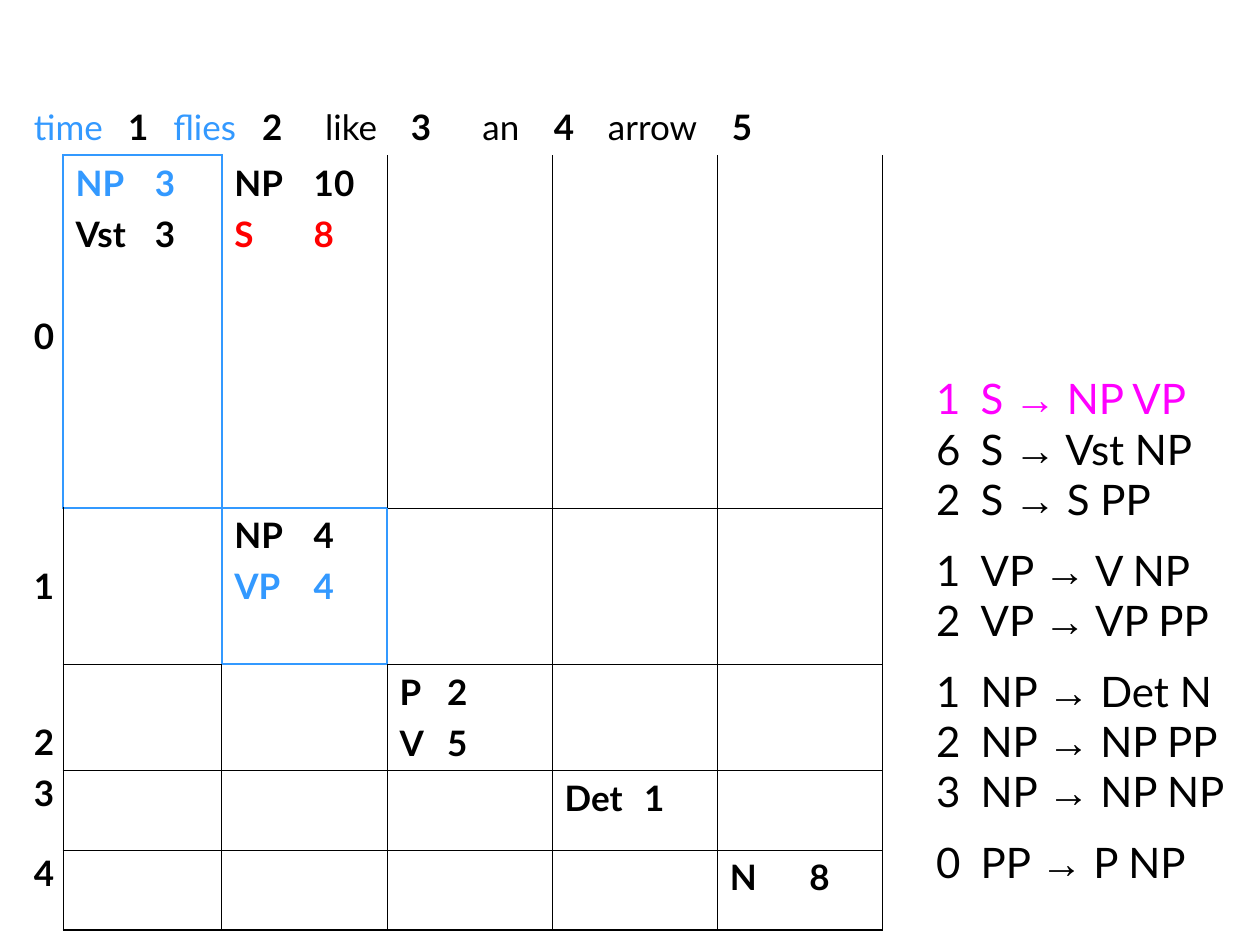
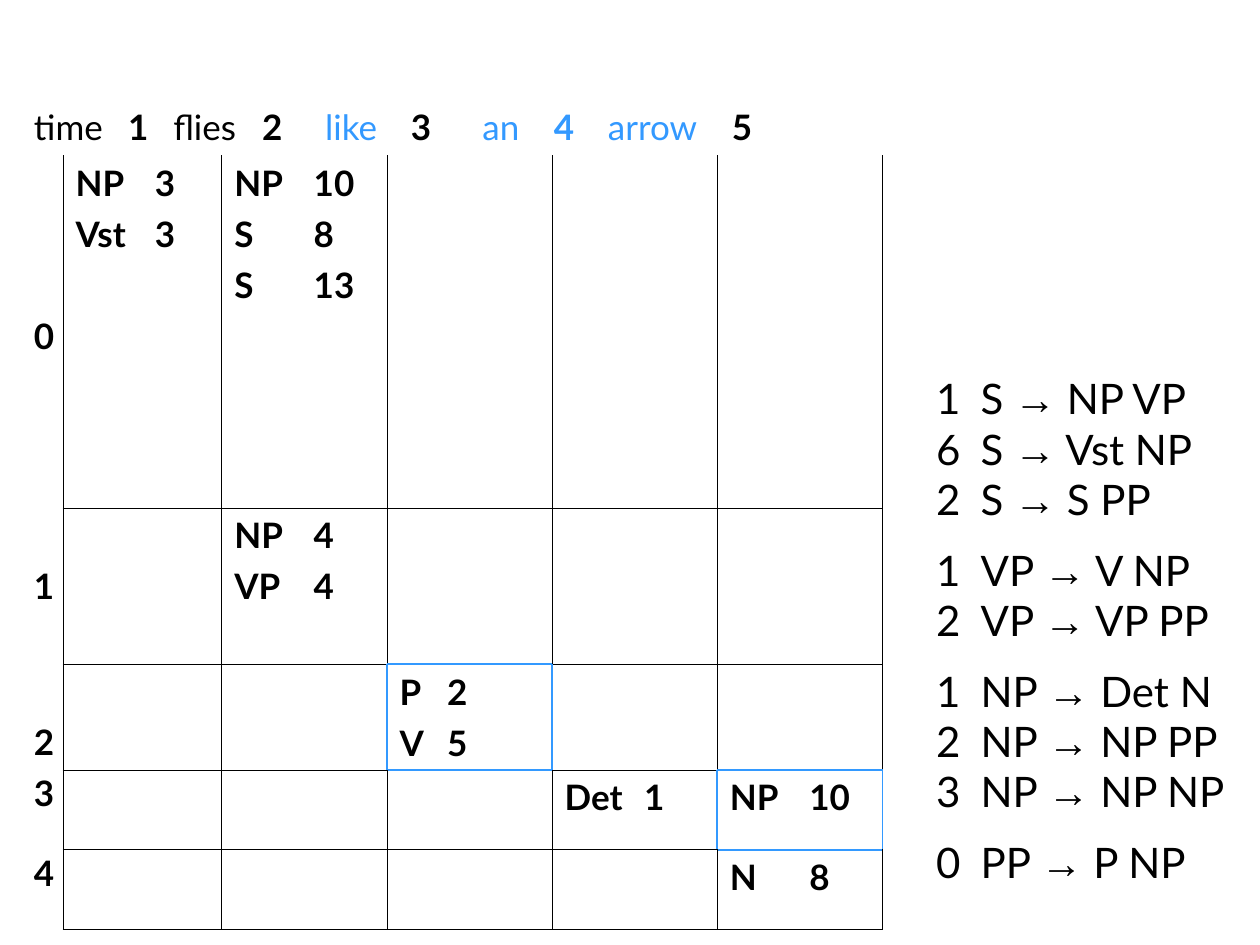
from lxml.etree import SubElement
from pptx import Presentation
from pptx.dml.color import RGBColor
from pptx.enum.text import MSO_AUTO_SIZE as AutoSize, PP_ALIGN as Align
from pptx.oxml import parse_xml
from pptx.oxml.ns import nsdecls, qn
from pptx.util import Cm, Pt

BLACK = RGBColor(0x00, 0x00, 0x00)
BLUE = RGBColor(0x33, 0x99, 0xFF)
RED = RGBColor(0xFF, 0x00, 0x00)
MAGENTA = RGBColor(0xFF, 0x00, 0xFF)

COLUMN_WIDTHS = [0.84, 3.2] + [3.33] * 4
ROW_HEIGHTS = [1.12, 7.11, 3.15, 2.13, 1.61, 1.61]
LAST = 5
THIN, THICK = 0.45, 1.08
SIDES = {"L": (0, -1), "R": (0, 1), "T": (-1, 0), "B": (1, 0)}

SENTENCE = ["time", "1", "flies", "2", "like", "3", "an", "4", "arrow", "5"]
SENTENCE_TABS = [1.9, 2.81, 4.6, 5.87, 7.6, 9.04, 10.48, 11.57, 14.07]
LABEL_SPACING = [1, 2.2, 2.2, 0.9, 0.9]
ZERO_LABEL_TOP = 3.21
WEIGHT_TAB, NARROW_WEIGHT_TAB, RULE_TAB = 1.6, 0.96, 0.9

GRAMMAR = [
    [("1", "S", "NP VP"), ("6", "S", "Vst NP"), ("2", "S", "S PP")],
    [("1", "VP", "V NP"), ("2", "VP", "VP PP")],
    [("1", "NP", "Det N"), ("2", "NP", "NP PP"), ("3", "NP", "NP NP")],
    [("0", "PP", "P NP")],
]

CHART = {
    (1, 1): ["NP\t3", "Vst\t3"],
    (1, 2): ["NP\t10", "S\t8"],
    (2, 2): ["NP\t4", "VP\t4"],
    (3, 3): ["P\t2", "V\t5"],
    (4, 4): ["Det\t1"],
    (5, 5): ["N\t8"],
}


class ParseDeck:
    font = "Lato"
    arrow_font = "Arial"
    cell_size = Pt(20)
    rule_size = Pt(24)

    def __init__(self):
        self.deck = Presentation()
        self.deck.slide_width, self.deck.slide_height = Cm(25.4), Cm(19.05)
        self.slide = None

    def new_slide(self):
        self.slide = self.deck.slides.add_slide(self.deck.slide_layouts[6])

    def style(self, run, size, color=BLACK, bold=False, font=font):
        run.font.name, run.font.size = font, size
        run.font.color.rgb, run.font.bold = color, bold

    def tabs(self, paragraph, stops):
        tab_list = SubElement(paragraph._p.get_or_add_pPr(), qn("a:tabLst"))
        for stop in stops:
            SubElement(tab_list, qn("a:tab"), pos=str(int(Cm(stop))), algn="l")

    def paragraphs(self, frame, count):
        return [frame.paragraphs[0]] + [frame.add_paragraph() for _ in range(count - 1)]

    def edge(self, row, column, side, focus):
        down, right = SIDES[side]
        pair = {(row, column), (row + down, column + right)}
        if pair & focus:
            return BLUE, THICK
        if any(r == 0 for r, _ in pair) or all(c <= 0 for _, c in pair):
            return None
        outer = any(r > LAST or c > LAST for r, c in pair)
        return BLACK, THICK if outer else THIN

    def borders(self, cell, row, column, focus):
        cell.fill.background()
        properties = cell._tc.get_or_add_tcPr()
        for index, side in enumerate(SIDES):
            line = self.edge(row, column, side, focus)
            paint, width = "<a:noFill/>", 0
            if line:
                color, width = line
                paint = f'<a:solidFill><a:srgbClr val="{color}"/></a:solidFill>'
            properties.insert(index, parse_xml(
                f'<a:ln{side} {nsdecls("a")} w="{int(Pt(width))}">{paint}</a:ln{side}>'))

    def sentence(self, cell, blue_words):
        paragraph = cell.text_frame.paragraphs[0]
        self.tabs(paragraph, SENTENCE_TABS)
        for index, word in enumerate(SENTENCE):
            run = paragraph.add_run()
            run.text = f"\t{word}" if index else word
            self.style(run, self.cell_size, BLUE if word in blue_words else BLACK, word.isdigit())

    def label(self, cell, number):
        paragraph = cell.text_frame.paragraphs[0]
        paragraph.text = str(number)
        paragraph.alignment = Align.CENTER
        paragraph.line_spacing = float(LABEL_SPACING[number])
        if number == 0:
            cell.margin_top = Cm(ZERO_LABEL_TOP)
        self.style(paragraph.runs[0], self.cell_size, bold=True)

    def entries(self, cell, lines, tab, colors):
        for index, (line, paragraph) in enumerate(
                zip(lines, self.paragraphs(cell.text_frame, len(lines)))):
            paragraph.text = line
            self.tabs(paragraph, [tab])
            if index:
                paragraph.space_before = Pt(5)
            self.style(paragraph.runs[0], self.cell_size, colors.get(index, BLACK), True)

    def parse_table(self, chart, focus, blue_words, colors):
        size = LAST + 1
        table = self.slide.shapes.add_table(
            size, size, Cm(0.43), Cm(2.01),
            Cm(sum(COLUMN_WIDTHS)), Cm(sum(ROW_HEIGHTS))).table
        table.first_row = table.horz_banding = False
        for column, width in zip(table.columns, COLUMN_WIDTHS):
            column.width = Cm(width)
        for row, height in zip(table.rows, ROW_HEIGHTS):
            row.height = Cm(height)
        for row in range(size):
            for column in range(size):
                self.borders(table.cell(row, column), row, column, focus)
        table.cell(0, 0).merge(table.cell(0, LAST))
        self.sentence(table.cell(0, 0), blue_words)
        for number in range(LAST):
            self.label(table.cell(number + 1, 0), number)
        for place, lines in chart.items():
            tab = NARROW_WEIGHT_TAB if place == (3, 3) else WEIGHT_TAB
            self.entries(table.cell(*place), lines, tab, colors.get(place, {}))

    def grammar(self, active_rule=None):
        frame = self.slide.shapes.add_textbox(Cm(18.62), Cm(7.39), Cm(6.78), Cm(10.62)).text_frame
        frame.word_wrap = True
        frame.auto_size = AutoSize.SHAPE_TO_FIT_TEXT
        rules = [(rule, group > 0 and rule == family[0])
                 for group, family in enumerate(GRAMMAR) for rule in family]
        for (rule, opens_group), paragraph in zip(rules, self.paragraphs(frame, len(rules))):
            weight, head, body = rule
            self.tabs(paragraph, [RULE_TAB])
            if opens_group:
                paragraph.line_spacing = 1.4
            color = MAGENTA if rule == active_rule else BLACK
            for text, font in ((f"{weight}\t{head} ", self.font),
                               ("→", self.arrow_font), (f" {body}", self.font)):
                run = paragraph.add_run()
                run.text = text
                self.style(run, self.rule_size, color, font=font)


def main():
    parse = ParseDeck()

    parse.new_slide()
    parse.parse_table(
        CHART, {(1, 1), (2, 2)}, {"time", "flies"},
        {(1, 1): {0: BLUE}, (1, 2): {1: RED}, (2, 2): {1: BLUE}})
    parse.grammar(GRAMMAR[0][0])

    parse.new_slide()
    later_chart = {**CHART, (1, 2): CHART[1, 2] + ["S\t13"], (4, 5): ["NP\t10"]}
    parse.parse_table(later_chart, {(3, 3), (4, 5)}, {"like", "an", "4", "arrow"}, {})
    parse.grammar()

    parse.deck.save("out.pptx")


if __name__ == "__main__":
    main()
